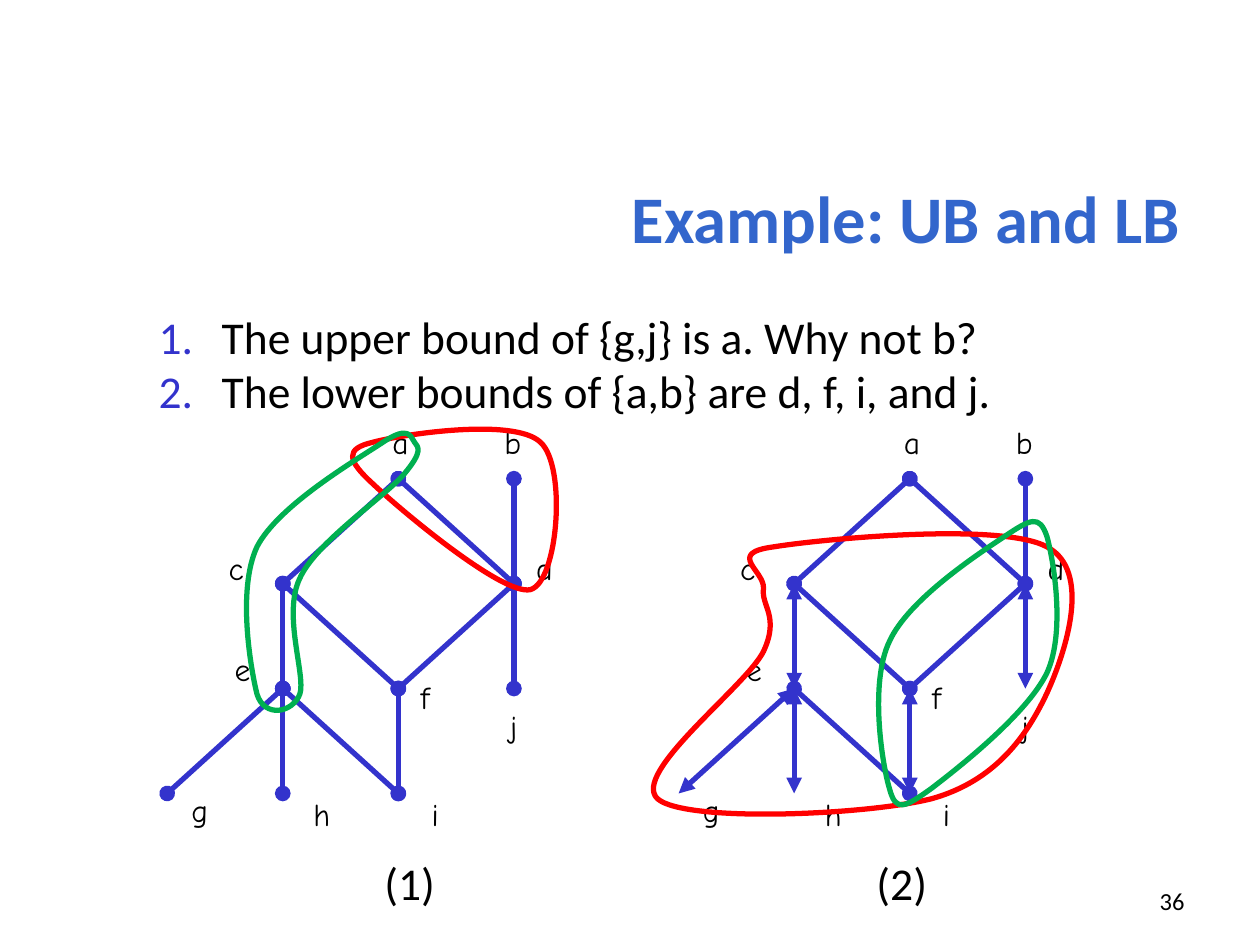
from pptx import Presentation
from pptx.dml.color import RGBColor
from pptx.enum.shapes import MSO_CONNECTOR as Link
from pptx.enum.text import MSO_ANCHOR as Anchor, PP_ALIGN as Align
from pptx.oxml.ns import qn
from pptx.util import Cm, Pt
from lxml.etree import SubElement as Sub

BLACK = RGBColor(0x00, 0x00, 0x00)
TITLE = RGBColor(0x33, 0x66, 0xCC)
BLUE = RGBColor(0x33, 0x33, 0xCC)
RED = RGBColor(0xFF, 0x00, 0x00)
GREEN = RGBColor(0x00, 0xB0, 0x50)

BODY = {"name": "Calibri", "size": Pt(26)}
HEAD = {"name": "Calibri", "size": Pt(38), "bold": True}
PAGE = {"name": "Calibri", "size": Pt(14)}
NODE = {"name": "Comic Neue", "size": Pt(18)}


def write(box, lines, style, color=BLACK, align=Align.LEFT, anchor=Anchor.TOP):
    frame = box.text_frame
    frame.word_wrap = True
    frame.vertical_anchor = anchor
    frame.text = "\n".join(lines)
    for para in frame.paragraphs:
        para.alignment = align
        font = para.runs[0].font
        for key, value in style.items():
            setattr(font, key, value)
        font.color.rgb = color


def draw_loop(shapes, nums, color):
    """Draw a closed chain of cubic curves, given in 1/100 inch."""
    unit = Cm(0.0254)
    pts = [(x * unit, y * unit) for x, y in zip(nums[::2], nums[1::2])]
    build = shapes.build_freeform(*pts[0])
    build.add_line_segments(pts[1:], close=True)
    loop = build.convert_to_shape()
    # Each three straight steps become the handles and end of one curve
    steps = list(loop._element.iter(qn("a:lnTo")))
    for trio in zip(steps[::3], steps[1::3], steps[2::3]):
        curve = trio[0].makeelement(qn("a:cubicBezTo"))
        trio[0].addprevious(curve)
        for step in trio:
            curve.append(step[0])
            step.getparent().remove(step)
    loop.shadow.inherit = False
    loop.fill.background()
    loop.line.color.rgb = color
    loop.line.width = Pt(3)


deck = Presentation()
deck.slide_width, deck.slide_height = Cm(25.4), Cm(19.05)
slide = deck.slides.add_slide(deck.slide_layouts[5])
shapes = slide.shapes

title = shapes.title
title.left, title.top, title.width, title.height = Cm(1.19), Cm(2.79), Cm(22.86), Cm(3.18)
write(title, ["Example: UB and LB"], HEAD, TITLE, Align.RIGHT, Anchor.MIDDLE)

page = shapes.add_textbox(Cm(18.21), Cm(17.65), Cm(5.92), Cm(1.02))
write(page, ["36"], PAGE, align=Align.RIGHT, anchor=Anchor.MIDDLE)

body = shapes.add_textbox(Cm(2.95), Cm(6.1), Cm(22.45), Cm(9.78))
write(body, ["The upper bound of {g,j} is a. Why not b?",
             "The lower bounds of {a,b} are d, f, i, and j.",
             "\t(1)\t(2)"], BODY)
*items, names = body.text_frame.paragraphs
for para in items:
    para.alignment = Align.JUSTIFY
    props = para._p.get_or_add_pPr()
    props.set("marL", str(Cm(1.27)))
    props.set("indent", str(-Cm(1.27)))
    tint = Sub(props, qn("a:buClr"))
    Sub(tint, qn("a:srgbClr"), val=str(BLUE))
    Sub(props, qn("a:buAutoNum"), type="arabicPeriod")
names.space_before = Pt(250)
tabs = Sub(names._p.get_or_add_pPr(), qn("a:tabLst"))
for stop in (5.06, 14.98):
    Sub(tabs, qn("a:tab"), pos=str(Cm(stop)), algn="ctr")

# Nodes sit on a grid: (column, row)
spots = {"a": (2, 0), "b": (3, 0), "c": (1, 1), "d": (3, 1), "e": (1, 2), "f": (2, 2),
         "j": (3, 2), "g": (0, 3), "h": (1, 3), "i": (2, 3)}
arrows = ["eh", "fi", "ce", "eg", "dj"]
plain = ["ad", "db", "cf", "ca", "ei", "fd"]
labels = {"a": (7.66, 8.41), "b": (9.92, 8.41), "d": (10.56, 10.95), "j": (10.03, 14.12),
          "f": (8.23, 13.54), "i": (8.45, 15.91), "h": (6.07, 15.91), "e": (4.48, 12.97),
          "c": (4.36, 10.95), "g": (3.61, 15.83)}

low_red = [614, 434, 651, 428, 794, 414, 831, 434, 867, 453, 846, 517, 831, 550,
           815, 584, 790, 620, 739, 634, 687, 647, 544, 653, 522, 634, 500, 614,
           592, 545, 606, 517, 619, 489, 604, 481, 606, 467, 607, 453, 576, 439, 614, 434]
low_green = [831, 426, 836, 444, 846, 501, 831, 534, 815, 567, 760, 610, 739, 626,
             718, 641, 711, 645, 706, 626, 700, 606, 690, 542, 706, 509, 721, 476,
             776, 440, 797, 426, 818, 412, 825, 408, 831, 426]
up_red = [296, 351, 318, 345, 408, 331, 429, 351, 450, 370, 443, 462, 421, 468,
          399, 473, 317, 404, 296, 384, 275, 365, 274, 356, 296, 351]
up_green = [321, 376, 306, 394, 251, 430, 238, 459, 224, 488, 243, 536, 238, 551,
            232, 566, 210, 570, 204, 551, 199, 531, 188, 468, 204, 434, 221, 401,
            283, 365, 304, 351, 325, 337, 326, 347, 329, 351, 332, 355, 336, 358, 321, 376]

graphs = [(10.31, "triangle", low_red, low_green), (0, "oval", up_red, up_green)]

for shift, tip, red, green in graphs:
    group = shapes.add_group_shape().shapes
    for edge in arrows + plain:
        ends = [Cm(v) for n in edge for v in (3.37 + shift + 2.33 * spots[n][0],
                                              9.65 + 2.115 * spots[n][1])]
        link = group.add_connector(Link.STRAIGHT, *ends)
        link.line.color.rgb = BLUE
        link.line.width = Pt(3)
        for tag in ("a:headEnd", "a:tailEnd"):
            Sub(link.line._ln, qn(tag), type=tip if edge in arrows else "oval")
        Sub(link._element.spPr, qn("a:effectLst"))
    for node, (x, y) in labels.items():
        box = group.add_textbox(Cm(x + shift), Cm(y), Cm(1.27), Cm(1.02))
        write(box, [node], NODE)
    draw_loop(shapes, red, RED)
    draw_loop(shapes, green, GREEN)

deck.save("out.pptx")
